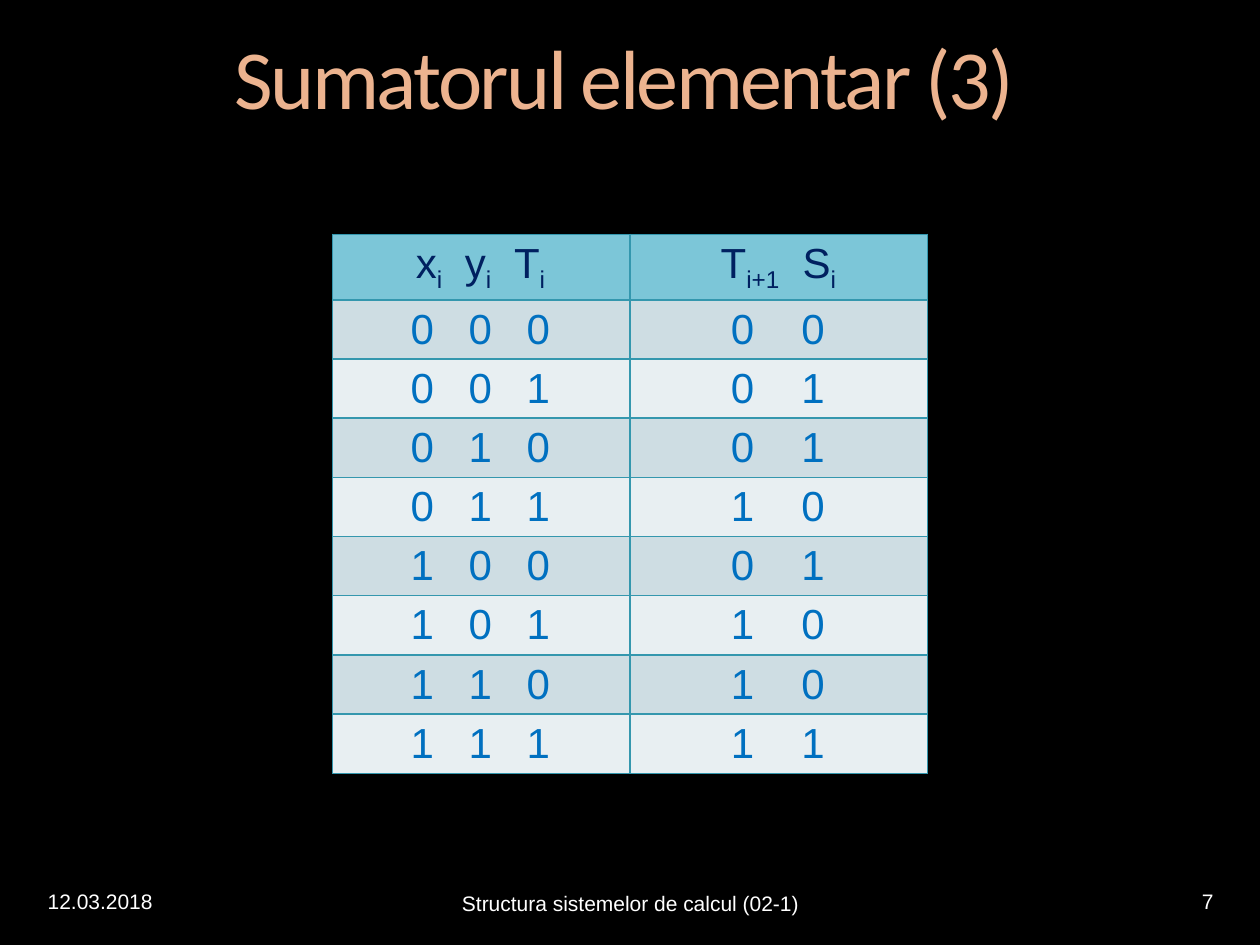
from itertools import product
from lxml.etree import SubElement
from pptx import Presentation
from pptx.dml.color import RGBColor
from pptx.enum.text import MSO_ANCHOR, PP_ALIGN
from pptx.oxml.ns import qn
from pptx.util import Inches, Pt

BLACK = RGBColor(0x00, 0x00, 0x00)
WHITE = RGBColor(0xFF, 0xFF, 0xFF)
PEACH = RGBColor(0xEC, 0xB3, 0x8F)
NAVY = RGBColor(0x00, 0x20, 0x60)
BLUE = RGBColor(0x00, 0x70, 0xC0)
HEADER = RGBColor(0x7C, 0xC6, 0xD8)
BANDS = [RGBColor(0xE8, 0xEF, 0xF2), RGBColor(0xCE, 0xDD, 0xE3)]
BORDER = RGBColor(0x34, 0x97, 0xAE)

deck = Presentation()
deck.slide_width, deck.slide_height = Inches(10), Inches(7.5)
W, H = deck.slide_width / 100, deck.slide_height / 100
slide = deck.slides.add_slide(deck.slide_layouts[6])
slide.background.fill.solid()
slide.background.fill.fore_color.rgb = BLACK


def add_line(text, left, top, width, height, size, face, color, align):
    box = slide.shapes.add_textbox(
        int(left * W), int(top * H), int(width * W), int(height * H))
    box.text_frame.word_wrap = True
    line = box.text_frame.paragraphs[0]
    line.text = text
    line.alignment = align
    line.font.size, line.font.name = Pt(size), face
    line.font.color.rgb = color
    return box.text_frame


def fill_cell(cell, entries, start, pitch, ink, background):
    cell.fill.solid()
    cell.fill.fore_color.rgb = background
    cell.vertical_anchor = MSO_ANCHOR.MIDDLE
    cell.margin_left = Inches(start)
    cell.margin_right = 0
    cell.margin_top = cell.margin_bottom = Inches(0.03)
    line = cell.text_frame.paragraphs[0]
    line.alignment = PP_ALIGN.LEFT
    stops = SubElement(line._p.get_or_add_pPr(), qn("a:tabLst"))
    for column, (symbol, index) in enumerate(entries):
        if column:
            SubElement(stops, qn("a:tab"), pos=str(Inches(column * pitch)), algn="l")
            symbol = "\t" + symbol
        line.add_run().text = symbol
        if index:
            subscript = line.add_run()
            subscript.text = index
            subscript._r.get_or_add_rPr().set("baseline", "-25000")
    line.font.size, line.font.name, line.font.bold = Pt(24), "Arial", False
    line.font.color.rgb = ink
    properties = cell._tc.get_or_add_tcPr()
    for position, side in enumerate(("lnL", "lnR", "lnT", "lnB")):
        edge = SubElement(properties, qn(f"a:{side}"), w=str(Pt(1)))
        SubElement(SubElement(edge, qn("a:solidFill")), qn("a:srgbClr"), val=str(BORDER))
        properties.insert(position, edge)


title = add_line("Sumatorul elementar (3)", 3.5, 3.87, 92.1, 10.53,
                 48, "Calibri", PEACH, PP_ALIGN.CENTER)
title.margin_left = title.margin_right = title.margin_top = title.margin_bottom = 0
title.paragraphs[0].line_spacing = 0.9
title.paragraphs[0].runs[0]._r.get_or_add_rPr().set("spc", "-150")

truth_table = slide.shapes.add_table(
    9, 2, int(26.4 * W), int(24.8 * H), int(47.2 * W), int(57.33 * H)).table
for row in truth_table.rows:
    row.height = Inches(0.47)
truth_table.rows[0].height = Inches(0.52)

fill_cell(truth_table.cell(0, 0), [("x", "i"), ("y", "i"), ("T", "i")],
          0.66, 0.39, NAVY, HEADER)
fill_cell(truth_table.cell(0, 1), [("T", "i+1"), ("S", "i")],
          0.72, 0.65, NAVY, HEADER)
for number, inputs in enumerate(product((0, 1), repeat=3), start=1):
    carry, digit = divmod(sum(inputs), 2)
    band = BANDS[number % 2]
    fill_cell(truth_table.cell(number, 0), [(str(bit), "") for bit in inputs],
              0.62, 0.46, BLUE, band)
    fill_cell(truth_table.cell(number, 1), [(str(carry), ""), (str(digit), "")],
              0.8, 0.56, BLUE, band)

for text, left, top, width, align in [
    ("12.03.2018", 2.8, 92, 20.5, PP_ALIGN.LEFT),
    ("Structura sistemelor de calcul (02-1)", 34.3, 92.27, 31.5, PP_ALIGN.CENTER),
    ("7", 81.5, 92, 15.8, PP_ALIGN.RIGHT),
]:
    footer = add_line(text, left, top, width, 6.67, 12, "Arial", WHITE, align)
    footer.vertical_anchor = MSO_ANCHOR.MIDDLE

deck.save("out.pptx")
